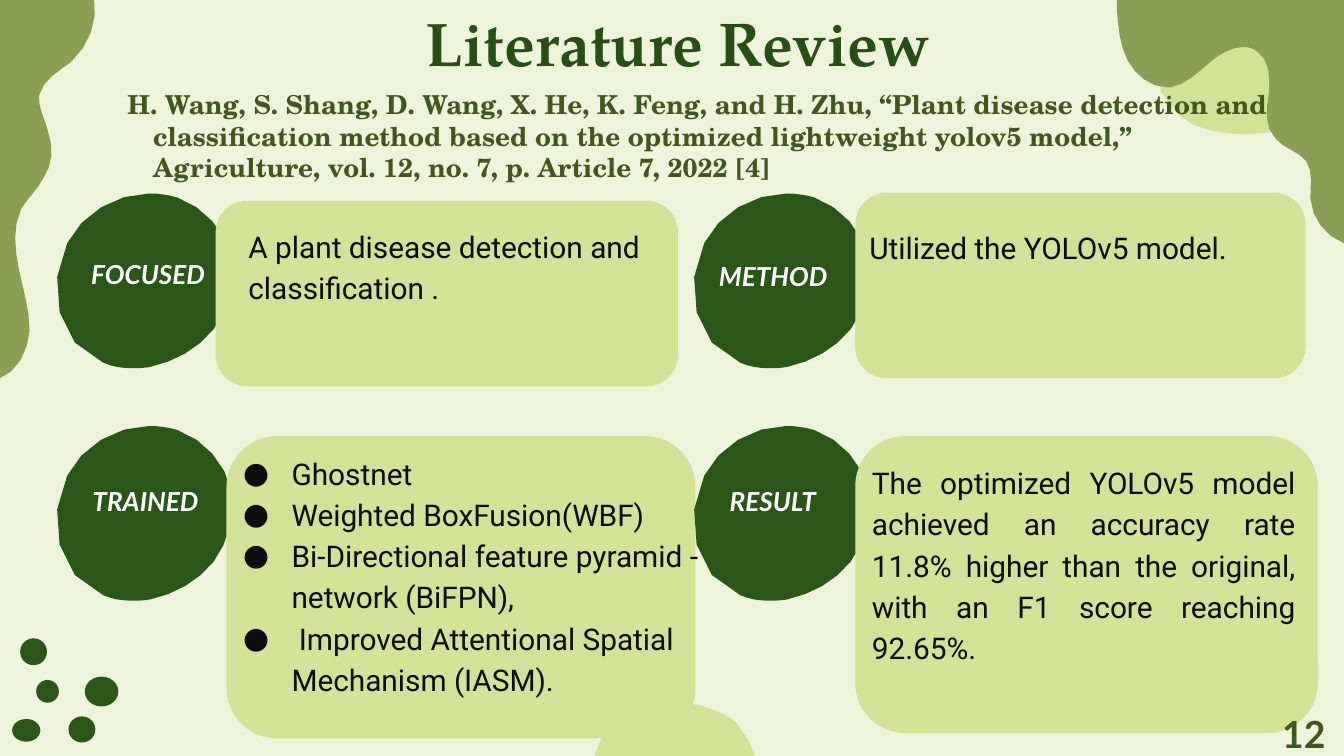
"""Build the literature review slide with four labelled summary cards."""
import pptx
import pptx.dml.color
import pptx.enum.shapes
import pptx.enum.text
import pptx.util
import lxml.etree

Pt = pptx.util.Pt
rgb = pptx.dml.color.RGBColor.from_string
Align = pptx.enum.text.PP_ALIGN
Preset = pptx.enum.shapes.MSO_SHAPE
DRAWING = "http://schemas.openxmlformats.org/drawingml/2006/main"
DARK, OLIVE, LIME, INK, MOSS = "2A5717", "8A9F53", "D2E296", "0D0D0D", "41571E"
STEPS = 4

deck = pptx.Presentation()
deck.slide_width, deck.slide_height = Pt(720), Pt(405)
slide = deck.slides.add_slide(deck.slide_layouts[1])
slide.background.fill.solid()
slide.background.fill.fore_color.rgb = rgb("EEF3DB")


def draw_blob(outline, colour, dx=0, dy=0):
    """Trace line and Bezier segments given in hundredths of an inch."""
    x, y = outline[0]
    points = [(x, y)]
    for segment in outline[1:]:
        if len(segment) == 2:
            points.append(segment)
        else:
            x1, y1, x2, y2, x3, y3 = segment
            for step in range(1, STEPS + 1):
                t = step / STEPS
                u = 1 - t
                points.append((
                    u**3 * x + 3 * u * u * t * x1 + 3 * u * t * t * x2 + t**3 * x3,
                    u**3 * y + 3 * u * u * t * y1 + 3 * u * t * t * y2 + t**3 * y3))
        x, y = points[-1]
    corners = [(Pt((px + dx) * 0.72), Pt((py + dy) * 0.72)) for px, py in points]
    builder = slide.shapes.build_freeform(*corners[0])
    builder.add_line_segments(corners[1:], close=True)
    blob = builder.convert_to_shape()
    blob.shadow.inherit = False
    blob.fill.solid()
    blob.fill.fore_color.rgb = rgb(colour)
    blob.line.fill.background()


def write(holder, box, lines, size, font, colour, bold=False, italic=False,
          align=Align.LEFT, spacing=1.0, margin=0, indent=0, bullets=()):
    """Place a text holder and fill it with evenly formatted paragraphs."""
    holder.left, holder.top, holder.width, holder.height = map(Pt, box)
    frame = holder.text_frame
    frame.word_wrap = True
    frame.auto_size = pptx.enum.text.MSO_AUTO_SIZE.NONE
    frame.vertical_anchor = pptx.enum.text.MSO_ANCHOR.TOP
    frame.margin_left = frame.margin_right = Pt(7.2)
    frame.margin_top = frame.margin_bottom = Pt(7.2)
    frame.text = "\n".join(lines)
    for number, paragraph in enumerate(frame.paragraphs):
        paragraph.alignment = align
        paragraph.line_spacing = spacing
        paragraph.space_before = Pt(0)
        properties = paragraph._p.get_or_add_pPr()
        bulleted = number in bullets
        properties.set("marL", str(Pt(margin)))
        properties.set("indent", str(Pt(indent if bulleted or not bullets else 0)))
        if bulleted:
            tint = lxml.etree.SubElement(properties, f"{{{DRAWING}}}buClr")
            lxml.etree.SubElement(tint, f"{{{DRAWING}}}srgbClr", val=colour)
            lxml.etree.SubElement(properties, f"{{{DRAWING}}}buFont", typeface=font)
            lxml.etree.SubElement(properties, f"{{{DRAWING}}}buChar", char="●")
        else:
            lxml.etree.SubElement(properties, f"{{{DRAWING}}}buNone")
        paragraph.font.size = Pt(size)
        paragraph.font.name = font
        paragraph.font.bold = bold
        paragraph.font.italic = italic
        paragraph.font.color.rgb = rgb(colour)


corner_leaf = [(927, 100), (908, 100, 889, 96, 879, 87), (852, 65, 851, 29, 899, 20),
               (906, 19, 912, 18, 919, 18), (930, 18, 941, 20, 951, 22),
               (958, 24, 964, 26, 969, 29), (982, 38, 991, 57, 990, 69),
               (988, 89, 957, 100, 927, 100)]
corner_wave = [(831, 0), (831, 7), (832, 20, 833, 33, 839, 45), (845, 56, 856, 65, 868, 65),
               (869, 65, 870, 65, 871, 65), (883, 63, 892, 53, 902, 45),
               (908, 40, 917, 35, 925, 35), (929, 35, 932, 36, 935, 38),
               (945, 44, 945, 58, 944, 70), (942, 82, 941, 95, 949, 103),
               (955, 111, 966, 112, 972, 120), (977, 128, 975, 138, 975, 148),
               (976, 162, 986, 176, 1000, 181), (1000, 0)]
left_wave = [(-1, 282), (13, 277, 21, 261, 22, 246), (22, 230, 17, 215, 14, 200),
             (11, 185, 9, 169, 16, 155), (21, 147, 28, 141, 32, 133),
             (39, 123, 40, 110, 36, 99), (34, 89, 28, 80, 29, 71),
             (32, 59, 44, 53, 53, 46), (66, 34, 73, 16, 70, -1), (-1, -1)]
bottom_leaf = [(505, 646), (487, 646, 468, 640, 458, 627), (431, 594, 430, 538, 478, 524),
               (485, 523, 491, 522, 498, 522), (509, 522, 520, 524, 530, 528),
               (536, 530, 543, 533, 548, 538), (561, 552, 570, 581, 569, 600),
               (567, 630, 536, 646, 505, 646)]
badge = [(111, 144), (86, 144, 61, 159, 50, 181), (34, 212, 42, 257, 77, 270),
         (84, 273, 91, 274, 98, 274), (102, 274, 107, 274, 112, 273),
         (130, 269, 147, 260, 159, 245), (170, 230, 175, 211, 172, 192),
         (168, 172, 152, 154, 132, 147), (125, 145, 118, 144, 111, 144)]

draw_blob(corner_leaf, LIME)
draw_blob(corner_wave, OLIVE)
draw_blob(left_wave, OLIVE)
pebbles = [(36.7, 383.8, 14.4, 14), (45.4, 362.5, 18, 16), (6.5, 385.2, 15.1, 12.2),
           (10.8, 342, 14.4, 14.4), (19.4, 364.3, 12.2, 12.2)]
for pebble_box in pebbles:
    pebble = slide.shapes.add_shape(Preset.OVAL, *map(Pt, pebble_box))
    pebble.shadow.inherit = False
    pebble.fill.solid()
    pebble.fill.fore_color.rgb = rgb(DARK)
    pebble.line.fill.background()
draw_blob(bottom_leaf, LIME)

citation = slide.shapes.add_textbox(0, 0, 0, 0)
write(citation, (61.2, 40.3, 638, 364.7),
      ["H. Wang, S. Shang, D. Wang, X. He, K. Feng, and H. Zhu, “Plant disease detection and "
       "classification method based on the optimized lightweight yolov5 model,” "
       "Agriculture, vol. 12, no. 7, p. Article 7, 2022 [4]"],
      14, "TeX Gyre Schola", MOSS, bold=True, margin=13.7, indent=-13.7)

sections = [
    ("FOCUSED", 0, 0, (41.8, 131, 83.5, 31.7), (115.9, 108, 247, 98.6)),
    ("METHOD", 474, 0, (378, 132.5, 77, 28), (458.6, 103.7, 240.5, 98.6)),
    ("TRAINED", 0, 173, (42.5, 252.7, 77, 31.7), (121.7, 234, 250.5, 161.3)),
    ("RESULT", 474, 173, (383.8, 252.7, 64.8, 31.7), (458.6, 234, 247, 158.4)),
]
for heading, dx, dy, heading_box, card_box in sections:
    draw_blob(badge, DARK, dx, dy)
    card = slide.shapes.add_shape(Preset.ROUNDED_RECTANGLE, *map(Pt, card_box))
    card.shadow.inherit = False
    card.fill.solid()
    card.fill.fore_color.rgb = rgb(LIME)
    card.line.color.rgb = rgb(LIME)
    card.line.width = Pt(0.75)
    label = slide.shapes.add_textbox(0, 0, 0, 0)
    write(label, heading_box, [heading], 14, "Lato", "FFFFFF", bold=True, italic=True)

findings = [
    ("A plant disease detection and classification .", (126, 112.3, 241.2, 89.3), Align.LEFT),
    ("Utilized the YOLOv5 model.", (458.6, 113, 250.6, 80), Align.LEFT),
    ("The optimized YOLOv5 model achieved an accuracy rate 11.8% higher than the original, "
     "with an F1 score reaching 92.65%.", (460, 239, 241.2, 110.2), Align.JUSTIFY),
]
for finding, finding_box, align in findings:
    summary = slide.shapes.add_textbox(0, 0, 0, 0)
    write(summary, finding_box, [finding], 16, "Roboto", INK, align=align, spacing=1.15)

page_number = slide.shapes.add_textbox(0, 0, 0, 0)
write(page_number, (674, 373.7, 43.2, 31), ["12"], 20, "Lato", MOSS,
      bold=True, align=Align.RIGHT)

title, techniques = slide.shapes.title, slide.placeholders[1]
for holder in (title, techniques):
    holder.element.getparent().append(holder.element)
write(title, (188.6, 0, 349.2, 72), ["Literature Review"], 33, "TeX Gyre Pagella", "274E13",
      bold=True, align=Align.CENTER, spacing=0.9)
write(techniques, (113, 234, 316.8, 144.7),
      ["Ghostnet", "Weighted BoxFusion(WBF)", "Bi-Directional feature pyramid -",
       "network (BiFPN),", " Improved Attentional Spatial Mechanism (IASM)."],
      16, "Roboto", INK, spacing=1.15, margin=36, indent=-26, bullets=(0, 1, 2, 4))

deck.save("out.pptx")
